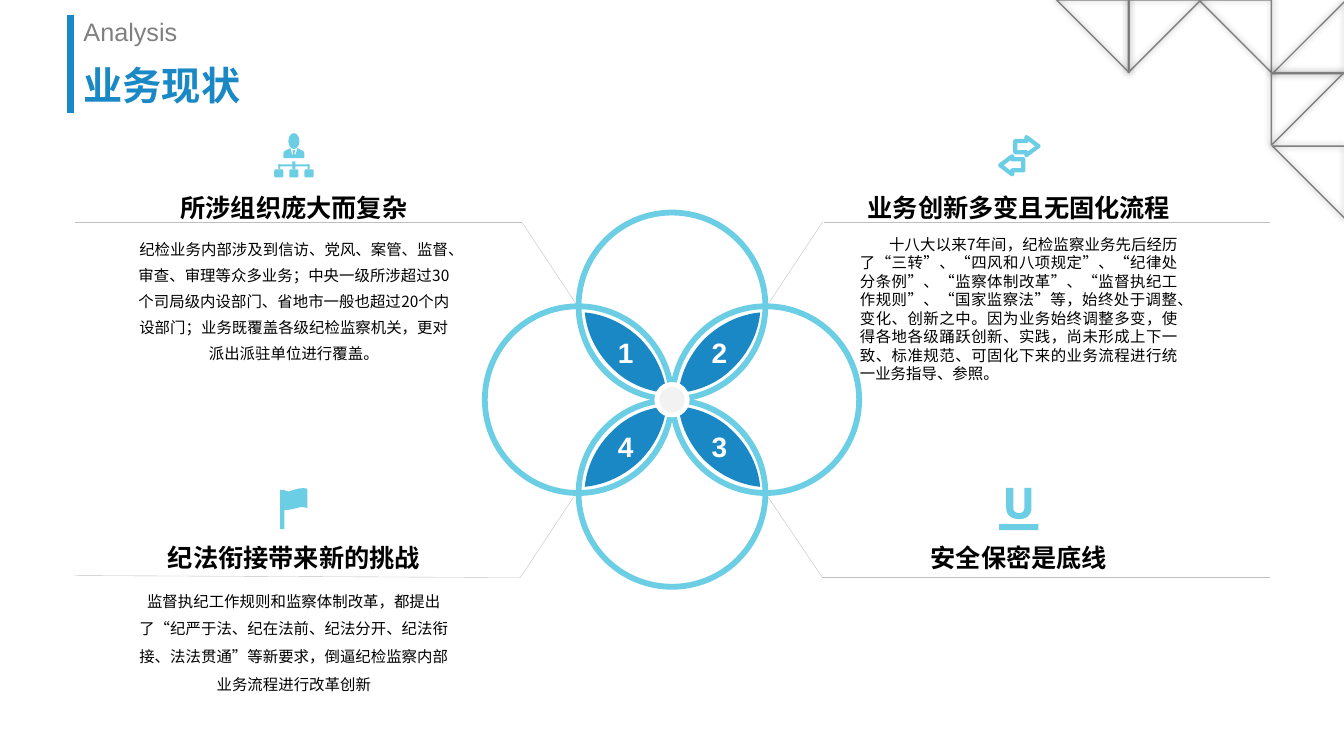
from pptx import Presentation
from pptx.dml.color import RGBColor
from pptx.enum.shapes import MSO_CONNECTOR, MSO_SHAPE
from pptx.enum.text import MSO_ANCHOR, MSO_AUTO_SIZE, PP_ALIGN
from pptx.oxml import parse_xml
from pptx.oxml.ns import nsdecls, qn
from pptx.util import Pt

PX = 9144
CJK = "Noto Sans CJK SC"
LATIN = "Arial"
HEX = {"blue": "1988C5", "sky": "6CCEE5", "gray": "808080", "rule": "BFBFBF",
       "pale": "F2F2F2", "white": "FFFFFF", "black": "000000"}
LEFT, MID, FULL = PP_ALIGN.LEFT, PP_ALIGN.CENTER, PP_ALIGN.JUSTIFY
TOP, HALF, BASE = MSO_ANCHOR.TOP, MSO_ANCHOR.MIDDLE, MSO_ANCHOR.BOTTOM
FIXED = MSO_AUTO_SIZE.NONE
LINE = MSO_CONNECTOR.STRAIGHT
OVAL, RECT, RING = MSO_SHAPE.OVAL, MSO_SHAPE.RECTANGLE, MSO_SHAPE.DONUT
ROUND, WEDGE = MSO_SHAPE.ROUNDED_RECTANGLE, MSO_SHAPE.RIGHT_TRIANGLE

CARDS = [
    (124, 184, "所涉组织庞大而复杂",
     "纪检业务内部涉及到信访、党风、案管、监督、审查、审理等众多业务；中央一级所涉超过30个司局级内设部门、"
     "省地市一般也超过20个内设部门；业务既覆盖各级纪检监察机关，更对派出派驻单位进行覆盖。",
     226, 139, MID, 18.6, 0),
    (843, 184, "业务创新多变且无固化流程",
     "十八大以来7年间，纪检监察业务先后经历了“三转”、“四风和八项规定”、“纪律处分条例”、“监察体制改革”、"
     "“监督执纪工作规则”、“国家监察法”等，始终处于调整、变化、创新之中。因为业务始终调整多变，"
     "使得各地各级踊跃创新、实践，尚未形成上下一致、标准规范、可固化下来的业务流程进行统一业务指导、参照。",
     228, 127, FULL, 13.2, 29),
    (124, 532, "纪法衔接带来新的挑战",
     "监督执纪工作规则和监察体制改革，都提出了“纪严于法、纪在法前、纪法分开、纪法衔接、法法贯通”等新要求，"
     "倒逼纪检监察内部业务流程进行改革创新",
     573, 123, MID, 19.8, 0),
    (843, 532, "安全保密是底线", None, 0, 0, MID, 0, 0),
]
RULES = [(518, 220, 74, 220), (516, 573, 74, 571), (1260, 220, 817, 220), (1260, 573, 815, 573),
         (571, 301, 518, 221), (815, 572, 761, 492), (763, 300, 816, 220), (516, 573, 569, 493)]
CORNER = [(1262, 1, 270), (1189, 0, 180), (1119, 0, 90), (1048, 0, 180),
          (1262, 145, 180), (1261, 72, 90)]
PETAL = [(580, 310), (601, 312, 621, 322, 636, 337), (650, 352, 659, 370, 661, 390),
         (641, 388, 622, 380, 608, 366), (592, 351, 582, 331, 580, 310)]
BODY = [(288, 147), (290, 154), (291, 152), (290, 149), (293, 149), (292, 152), (293, 154),
        (295, 147), (299, 149), (302, 150, 302, 152, 302, 156), (301, 157), (282, 157),
        (281, 156), (281, 152, 281, 150, 284, 149)]
ARROW = [(1004, 155), (992, 164), (1004, 173), (1004, 169), (1015, 169), (1015, 158), (1004, 158)]
FLAG = [(288, 487), (286, 488, 283, 487, 282, 486), (278, 486), (278, 525), (282, 525),
        (282, 506), (287, 506, 290, 505, 295, 504), (299, 502, 304, 504, 305, 504),
        (305, 485), (299, 483, 292, 486, 288, 487)]
CUP = [(998, 484), (1005, 484), (1005, 504), (1005, 507, 1007, 509, 1011, 509),
       (1014, 509, 1016, 507, 1016, 504), (1016, 484), (1023, 484), (1023, 504),
       (1023, 511, 1018, 515, 1011, 515), (1003, 515, 998, 511, 998, 504)]


def tint(name):
    return RGBColor.from_string(HEX[name])


def paint(shape, hue):
    shape.shadow.inherit = False
    shape.fill.solid()
    shape.fill.fore_color.rgb = tint(hue)
    shape.line.fill.background()
    return shape


def block(slide, kind, x, y, w, h, hue):
    shape = slide.shapes.add_shape(kind, x * PX, y * PX, w * PX, h * PX)
    return paint(shape, hue)


def rule(slide, x1, y1, x2, y2, hue, width):
    line = slide.shapes.add_connector(LINE, x1 * PX, y1 * PX, x2 * PX, y2 * PX)
    line.line.color.rgb = tint(hue)
    line.line.width = Pt(width)
    line._element.spPr.append(parse_xml(f"<a:effectLst {nsdecls('a')}/>"))


def trace(steps, count=12):
    dots = [steps[0]]
    for step in steps[1:]:
        if len(step) == 2:
            dots.append(step)
            continue
        a, b, c, d = dots[-1], step[:2], step[2:4], step[4:]
        for i in range(1, count + 1):
            t = i / count
            u = 1 - t
            dots.append(tuple(u**3 * a[k] + 3 * u * u * t * b[k] + 3 * u * t * t * c[k]
                              + t**3 * d[k] for k in (0, 1)))
    return [(round(x * PX), round(y * PX)) for x, y in dots]


def draw(slide, steps, hue):
    dots = trace(steps)
    pen = slide.shapes.build_freeform(*dots[0])
    pen.add_line_segments(dots[1:], close=True)
    return paint(pen.convert_to_shape(), hue)


def write(shape, text, size, hue, font, bold=False, align=LEFT, anchor=TOP, space=None, indent=0):
    frame = shape.text_frame
    frame.text = text
    frame.word_wrap = True
    frame.auto_size = FIXED
    frame.vertical_anchor = anchor
    para = frame.paragraphs[0]
    para.alignment = align
    if space:
        para.line_spacing = space
    if indent:
        para._p.get_or_add_pPr().set("indent", str(indent * PX))
    for run in para.runs:
        run.font.size = Pt(size)
        run.font.bold = bold
        run.font.name = font
        run.font.color.rgb = tint(hue)
        east = run._r.get_or_add_rPr().makeelement(qn("a:ea"), {"typeface": CJK})
        run._r.rPr.append(east)


def label(slide, x, y, w, h, *args, **style):
    write(slide.shapes.add_textbox(x * PX, y * PX, w * PX, h * PX), *args, **style)


def corner(slide):
    for x, y, turn in CORNER:
        part = block(slide, WEDGE, x, y, 72, 72, "white")
        part.fill.background()
        part.line.color.rgb = tint("gray")
        part.line.width = Pt(1)
        part.rotation = turn
        glow = part._element.spPr.find(qn("a:effectLst"))
        glow.append(parse_xml(
            f'<a:outerShdw {nsdecls("a")} blurRad="63500" dist="0" dir="0" algn="ctr" rotWithShape="0">'
            f'<a:srgbClr val="{HEX["black"]}"><a:alpha val="40000"/></a:srgbClr></a:outerShdw>'))


def header(slide):
    rule(slide, 70, 15, 70, 112, "blue", 5)
    title = slide.shapes.title
    title.left, title.top, title.width, title.height = 73 * PX, 54 * PX, 1187 * PX, 59 * PX
    write(title, "业务现状", 28, "blue", LATIN, bold=True, anchor=BASE, space=0.9)
    label(slide, 73, 15, 1187, 39, "Analysis", 18, "gray", LATIN, space=0.9)


def flower(slide):
    for x, y in [(571, 394), (571, 208), (478, 301), (664, 301)]:
        ring = block(slide, RING, x, y, 191, 191, "sky")
        ring.adjustments[0] = 0.03
    for i, (right, low) in enumerate([(0, 0), (1, 0), (1, 1), (0, 1)], 1):
        steps = [tuple((1334 if right else 0) + (-v if right else v) if k % 2 == 0
                       else (793 - v if low else v) for k, v in enumerate(step)) for step in PETAL]
        leaf = draw(slide, steps, "blue")
        write(leaf, str(i), 20, "white", LATIN, bold=True, align=MID, anchor=HALF)
    block(slide, OVAL, 649, 379, 35, 35, "white")
    block(slide, OVAL, 654, 384, 25, 25, "pale")


def staff(slide):
    block(slide, OVAL, 286, 132, 11, 16, "sky")
    draw(slide, BODY, "sky")
    block(slide, RECT, 276, 163, 31, 2, "sky")
    block(slide, RECT, 290, 160, 3, 8, "sky")
    for x in (276, 305):
        block(slide, RECT, x, 163, 2, 5, "sky")
    for x in (272, 287, 302):
        block(slide, ROUND, x, 168, 9, 8, "sky")


def swap(slide):
    for steps in (ARROW, [(2022 - x, 309 - y) for x, y in ARROW]):
        shape = draw(slide, steps, "sky")
        shape.fill.background()
        shape.line.color.rgb = tint("sky")
        shape.line.width = Pt(3)


def card(slide, x, y, head, text, top, high, align, space, indent):
    label(slide, x, y, 335, 43 if y < 300 else 41, head, 18, "black", CJK,
          bold=True, align=MID, anchor=HALF)
    if text:
        label(slide, x, top, 335, high, text, 11, "black", CJK,
              align=align, space=Pt(space), indent=indent)


def main():
    deck = Presentation()
    deck.slide_width, deck.slide_height = 1333 * PX, 750 * PX
    slide = deck.slides.add_slide(deck.slide_layouts[5])
    corner(slide)
    header(slide)
    for ends in RULES:
        rule(slide, *ends, "rule", 0.25)
    flower(slide)
    for item in CARDS:
        card(slide, *item)
    staff(slide)
    swap(slide)
    draw(slide, FLAG, "sky")
    draw(slide, CUP, "sky")
    block(slide, RECT, 991, 520, 39, 6, "sky")
    deck.save("out.pptx")


if __name__ == "__main__":
    main()
